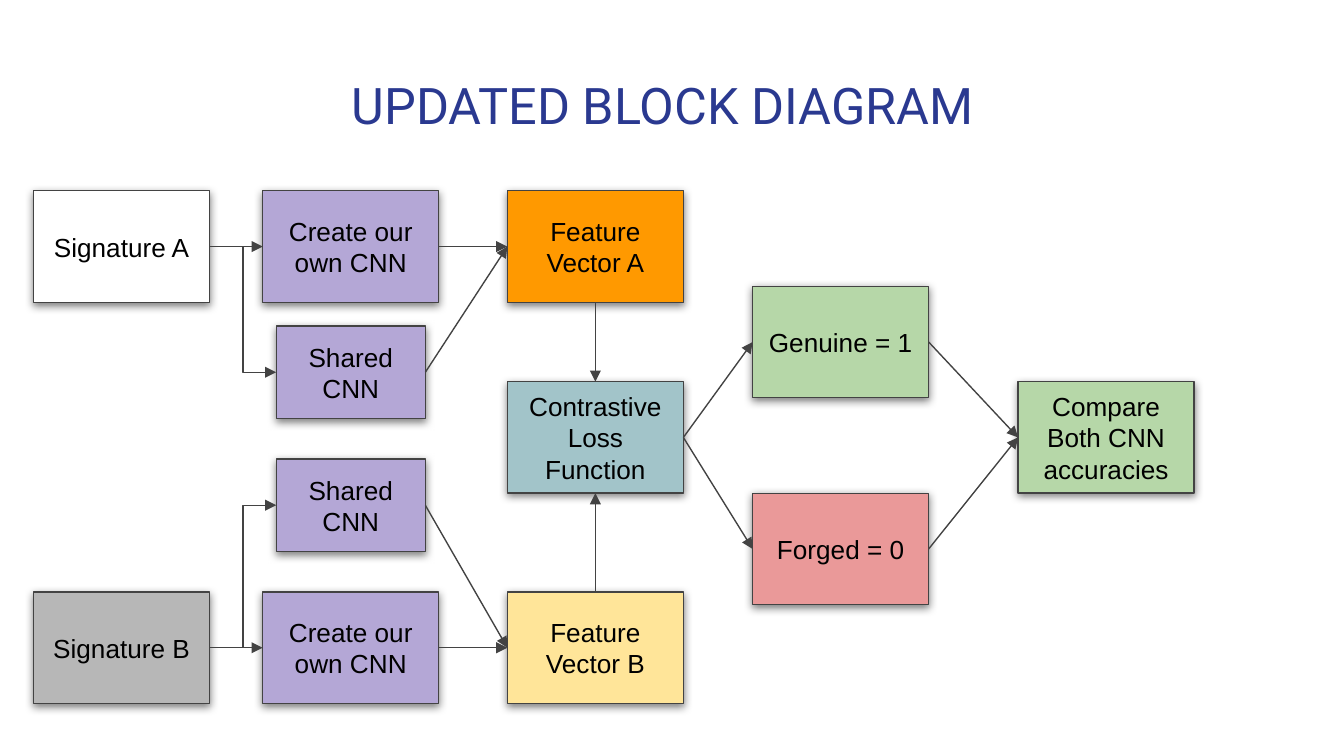
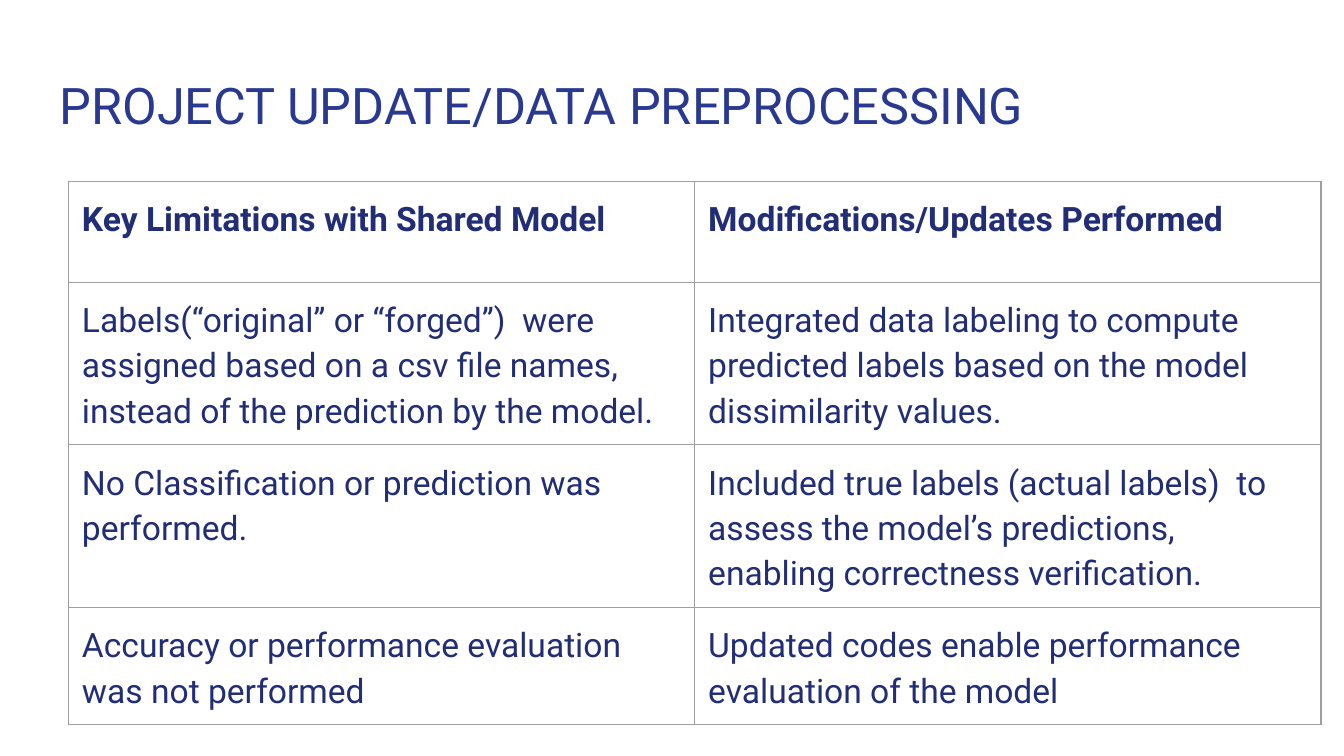
from lxml import etree
from pptx import Presentation
from pptx.dml.color import RGBColor
from pptx.enum.shapes import MSO_CONNECTOR, MSO_SHAPE
from pptx.enum.text import MSO_ANCHOR, PP_ALIGN
from pptx.oxml import parse_xml
from pptx.oxml.ns import nsdecls, qn
from pptx.util import Pt

PX = 4572  # EMU per px, 200 px to the inch
RECTANGLE = MSO_SHAPE.RECTANGLE
STRAIGHT, ELBOW = MSO_CONNECTOR.STRAIGHT, MSO_CONNECTOR.ELBOW
LEFT, CENTER = PP_ALIGN.LEFT, PP_ALIGN.CENTER
MIDDLE = MSO_ANCHOR.MIDDLE
# Connection sites of a rectangle
TOP_SITE, LEFT_SITE, BOTTOM_SITE, RIGHT_SITE = range(4)

COLORS = {
    "title": "2A3990", "table text": "212D74", "border": "9E9E9E",
    "outline": "434343", "text": "000000", "white": "FFFFFF",
    "gray": "B7B7B7", "purple": "B4A7D6", "orange": "FF9900",
    "yellow": "FFE599", "teal": "A2C4C9", "green": "B6D7A8", "red": "EA9999",
}


def style_text(text_frame, font_name, size, color, alignment, bold=False):
    text_frame.word_wrap = True
    text_frame.margin_left = text_frame.margin_right = 20 * PX
    text_frame.margin_top = text_frame.margin_bottom = 20 * PX
    for paragraph in text_frame.paragraphs:
        paragraph.alignment = alignment
        paragraph.font.name = font_name
        paragraph.font.size = Pt(size)
        paragraph.font.bold = bold
        paragraph.font.color.rgb = RGBColor.from_string(COLORS[color])


def add_titled_slide(title, left, width, alignment):
    slide = presentation.slides.add_slide(presentation.slide_layouts[6])
    title_box = slide.shapes.add_textbox(left * PX, 90 * PX, width * PX, 134 * PX)
    title_box.text_frame.text = title
    style_text(title_box.text_frame, "Roboto", 27, "title", alignment)
    return slide


presentation = Presentation()
presentation.slide_width = 2000 * PX
presentation.slide_height = 1125 * PX

# Slide 1: block diagram
slide = add_titled_slide("UPDATED BLOCK DIAGRAM", 312, 1348, CENTER)

LARGE, SMALL = (262, 166), (222, 138)
BLOCKS = {  # name: text, left, top, size, fill
    "signature A": ("Signature A", 50, 284, LARGE, "white"),
    "own A": ("Create our own CNN", 391, 284, LARGE, "purple"),
    "shared A": ("Shared CNN", 411, 485, SMALL, "purple"),
    "vector A": ("Feature Vector A", 755, 284, LARGE, "orange"),
    "signature B": ("Signature B", 50, 881, LARGE, "gray"),
    "own B": ("Create our own CNN", 391, 881, LARGE, "purple"),
    "shared B": ("Shared CNN", 411, 683, SMALL, "purple"),
    "vector B": ("Feature Vector B", 755, 881, LARGE, "yellow"),
    "loss": ("Contrastive Loss Function", 755, 568, LARGE, "teal"),
    "genuine": ("Genuine = 1", 1120, 426, LARGE, "green"),
    "forged": ("Forged = 0", 1120, 734, LARGE, "red"),
    "compare": ("Compare\nBoth CNN accuracies", 1515, 568, LARGE, "green"),
}

blocks = {}
for name, (text, left, top, (width, height), fill) in BLOCKS.items():
    block = slide.shapes.add_shape(
        RECTANGLE, left * PX, top * PX, width * PX, height * PX)
    block.fill.solid()
    block.fill.fore_color.rgb = RGBColor.from_string(COLORS[fill])
    block.line.color.rgb = RGBColor.from_string(COLORS["outline"])
    block.line.width = Pt(0.75)
    block.text_frame.text = text
    block.text_frame.vertical_anchor = MIDDLE
    style_text(block.text_frame, "Arial", 14, "text", CENTER)
    # Soft shadow straight below
    block.shadow.inherit = False
    effects = block._element.spPr.find(qn("a:effectLst"))
    effects.append(parse_xml(
        f'<a:outerShdw {nsdecls("a")} blurRad="{Pt(4.5)}" dist="{Pt(1.5)}" '
        'dir="5400000" algn="bl" rotWithShape="0"><a:srgbClr val="000000">'
        '<a:alpha val="50000"/></a:srgbClr></a:outerShdw>'))
    blocks[name] = block

# Arrows between the blocks
arrows = []
for side in "AB":
    arrows += [
        (STRAIGHT, f"signature {side}", RIGHT_SITE, f"own {side}", LEFT_SITE),
        (ELBOW, f"signature {side}", RIGHT_SITE, f"shared {side}", LEFT_SITE),
        (STRAIGHT, f"own {side}", RIGHT_SITE, f"vector {side}", LEFT_SITE),
        (STRAIGHT, f"shared {side}", RIGHT_SITE, f"vector {side}", LEFT_SITE),
    ]
arrows += [
    (STRAIGHT, "vector A", BOTTOM_SITE, "loss", TOP_SITE),
    (STRAIGHT, "vector B", TOP_SITE, "loss", BOTTOM_SITE),
]
for result in ("genuine", "forged"):
    arrows += [
        (STRAIGHT, "loss", RIGHT_SITE, result, LEFT_SITE),
        (STRAIGHT, result, RIGHT_SITE, "compare", LEFT_SITE),
    ]

for kind, source, source_site, target, target_site in arrows:
    arrow = slide.shapes.add_connector(kind, 0, 0, 0, 0)
    arrow.begin_connect(blocks[source], source_site)
    arrow.end_connect(blocks[target], target_site)
    arrow.line.color.rgb = RGBColor.from_string(COLORS["outline"])
    arrow.line.width = Pt(0.75)
    properties = arrow._element.spPr
    etree.SubElement(properties.find(qn("a:ln")), qn("a:tailEnd"), type="triangle")
    etree.SubElement(properties, qn("a:effectLst"))

# Slide 2: limitations and updates
slide = add_titled_slide("PROJECT UPDATE/DATA PREPROCESSING", 69, 1864, LEFT)

ROWS = [
    ("Key Limitations with Shared Model", "Modifications/Updates Performed"),
    ("Labels(“original” or “forged”)  were assigned based on a csv file names, "
     "instead of the prediction by the model.",
     "Integrated data labeling to compute predicted labels based on the model "
     "dissimilarity values."),
    ("No Classification or prediction was performed.",
     "Included true labels (actual labels)  to assess the model’s predictions, "
     "enabling correctness verification."),
    ("Accuracy or performance evaluation was not performed",
     "Updated codes enable performance evaluation of the model"),
]
ROW_HEIGHTS = [150, 242, 242, 174]

table = slide.shapes.add_table(
    len(ROWS), 2, 102 * PX, 270 * PX, 1864 * PX, sum(ROW_HEIGHTS) * PX).table
table.first_row = False
table.horz_banding = False
for row_index, texts in enumerate(ROWS):
    table.rows[row_index].height = ROW_HEIGHTS[row_index] * PX
    for column_index, text in enumerate(texts):
        cell = table.cell(row_index, column_index)
        cell.text = text
        cell.margin_left = cell.margin_right = cell.margin_top = 20 * PX
        cell.margin_bottom = 15 * PX
        style_text(cell.text_frame, "Roboto", 18, "table text", LEFT, row_index == 0)
        paragraph = cell.text_frame.paragraphs[0]
        paragraph.line_spacing = 1.15
        paragraph.space_after = Pt(12)
        # Borders go before the fill
        cell_properties = cell._tc.get_or_add_tcPr()
        for edge in ("lnL", "lnR", "lnT", "lnB"):
            cell_properties.append(parse_xml(
                f'<a:{edge} {nsdecls("a")} w="{Pt(0.75)}"><a:solidFill>'
                f'<a:srgbClr val="{COLORS["border"]}"/></a:solidFill></a:{edge}>'))
        cell.fill.background()

presentation.save("out.pptx")
